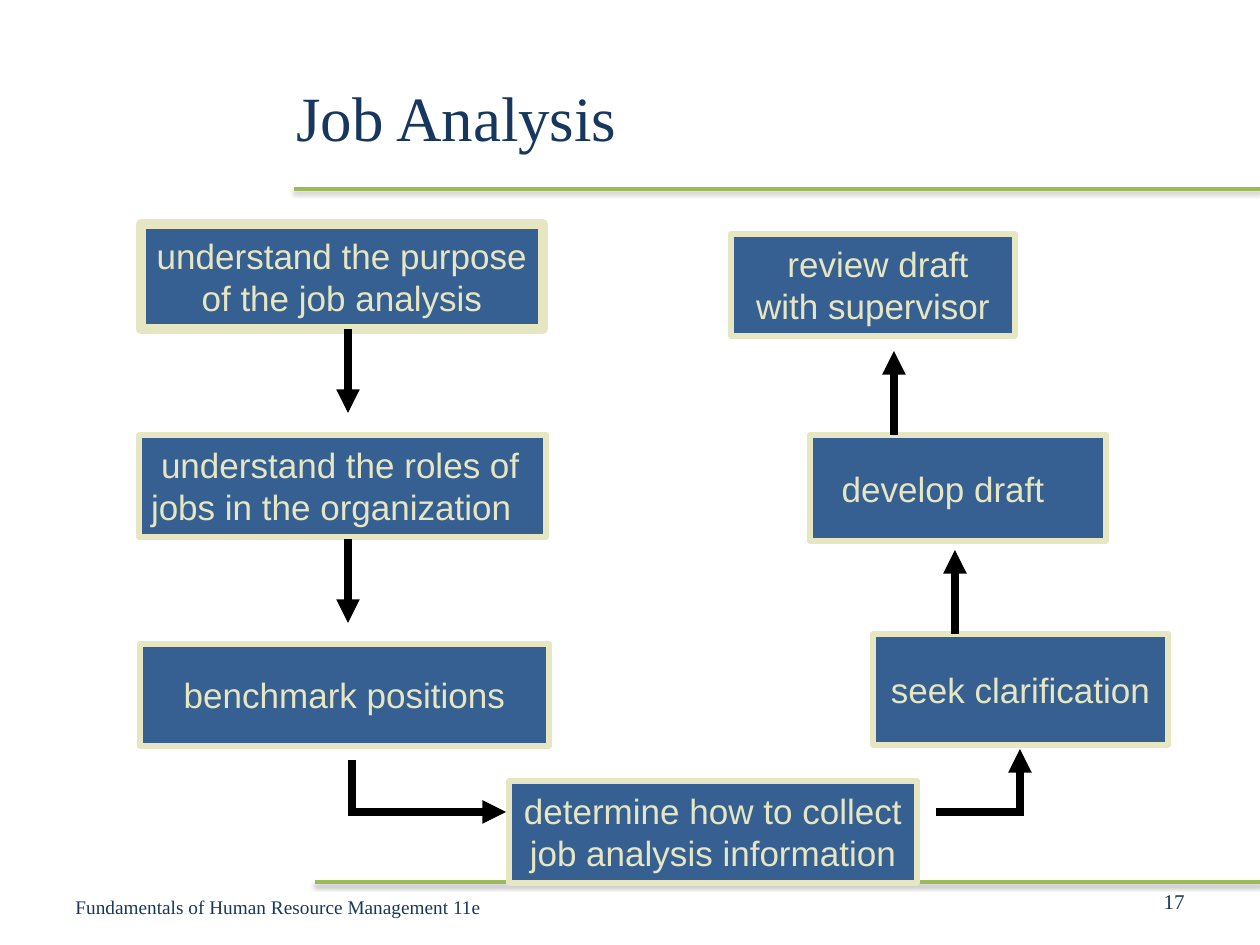
from lxml import etree
from pptx import Presentation
from pptx import util as u
from pptx.dml.color import RGBColor
from pptx.enum import shapes, text
from pptx.oxml.ns import qn

PX = 914400 / 126  # EMU in one px
HUES = {"navy": "17375E", "blue": "376092", "cream": "E6E6C2",
        "green": "9BBB59", "black": "000000"}
LEFT, MID, RIGHT = text.PP_ALIGN.LEFT, text.PP_ALIGN.CENTER, text.PP_ALIGN.RIGHT


def px(*vals):
    return [round(v * PX) for v in vals]


def hue(name):
    return RGBColor.from_string(HUES[name])


def label(slide, box, words, size, align=LEFT):
    frame = slide.shapes.add_textbox(*px(*box)).text_frame
    frame.word_wrap = True
    frame.vertical_anchor = text.MSO_ANCHOR.MIDDLE
    para = frame.paragraphs[0]
    para.text, para.alignment = words, align
    para.font.name, para.font.size = "Times New Roman", u.Pt(size)
    para.font.color.rgb = hue("navy")


def line(slide, ends, color, width):
    """Draw a straight line and return it with its empty effect list."""
    link = slide.shapes.add_connector(shapes.MSO_CONNECTOR.STRAIGHT, *px(*ends))
    link.line.color.rgb = hue(color)
    link.line.width = u.Pt(width)
    fx = etree.SubElement(link._element.spPr, qn("a:effectLst"))
    return link, fx


def rule(slide, left, top):
    """Green line with a soft shadow, running to the right edge."""
    fx = line(slide, (left, top, 1260, top), "green", 2)[1]
    cast = etree.SubElement(fx, qn("a:outerShdw"), blurRad=str(u.Pt(3.1)),
                            dist=str(u.Pt(1.6)), dir="5400000", rotWithShape="0")
    tint = etree.SubElement(cast, qn("a:srgbClr"), val=HUES["black"])
    etree.SubElement(tint, qn("a:alpha"), val="38000")


def arrow(slide, ends, width=4.5):
    link = line(slide, ends, "black", width)[0]
    etree.SubElement(link.line._get_or_add_ln(), qn("a:tailEnd"), type="triangle")


def step(slide, box, words, border=3, align=MID, pad=(0, 0), indent=0):
    """Framed step; pad is the left and right inset, indent moves line one."""
    rect = slide.shapes.add_shape(shapes.MSO_SHAPE.RECTANGLE, *px(*box))
    rect.shadow.inherit = False
    rect.fill.solid()
    rect.fill.fore_color.rgb = hue("blue")
    rect.line.color.rgb = hue("cream")
    rect.line.width = u.Pt(border)
    frame = rect.text_frame
    frame.word_wrap = True
    frame.vertical_anchor = text.MSO_ANCHOR.MIDDLE
    frame.margin_left, frame.margin_right = px(*pad)
    frame.text = words
    for para in frame.paragraphs:
        para.alignment = align
        para.font.name, para.font.size = "Arial", u.Pt(20)
        para.font.color.rgb = hue("cream")
    if indent:
        first = frame.paragraphs[0]._p.get_or_add_pPr()
        first.set("indent", str(px(indent)[0]))


def frame_page(slide):
    rule(slide, 294, 189)
    rule(slide, 315, 882)
    label(slide, (284, 38, 914, 157), "Job Analysis", 36)
    label(slide, (903, 876, 294, 50), "17", 12, RIGHT)
    label(slide, (63, 882, 473, 50),
          "Fundamentals of Human Resource Management 11e", 11)


def prepare(slide, left, top):
    """Left column, going down."""
    step(slide, (left + 2, top, 402, 105),
         "understand the purpose\nof the job analysis", border=6)
    step(slide, (left, top + 211, 407, 102),
         "understand the roles of\njobs in the organization",
         align=LEFT, pad=(12, 0), indent=10)
    step(slide, (left + 1, top + 420, 409, 102), "benchmark positions")
    for drop in (105, 315):
        arrow(slide, (left + 209, top + drop, left + 209, top + drop + 84))


def collect(slide, left, top):
    """Bottom step with the bent arrows into and out of it."""
    mid = top + 31
    line(slide, (left - 157, top - 21, left - 157, mid), "black", 4.5)
    arrow(slide, (left - 161, mid, left - 161, mid), 0.75)
    arrow(slide, (left - 161, mid, left - 3, mid))
    step(slide, (left, top, 408, 102),
         "determine how to collect\njob analysis information")
    line(slide, (left + 427, mid, left + 515, mid), "black", 4.5)
    arrow(slide, (left + 511, mid, left + 511, mid - 63))


def draft(slide, left, top):
    """Right column, going up."""
    step(slide, (left + 142, top + 400, 295, 111), "seek clarification")
    step(slide, (left + 79, top + 201, 296, 106), "develop draft", pad=(0, 30))
    step(slide, (left, top, 284, 102), "review draft\nwith supervisor", indent=10)
    for across, start in ((224, 400), (163, 201)):
        arrow(slide, (left + across, top + start, left + across, top + start - 84))


def main():
    deck = Presentation()
    deck.slide_width, deck.slide_height = px(1260, 945)
    slide = deck.slides.add_slide(deck.slide_layouts[6])
    frame_page(slide)
    prepare(slide, 139, 224)
    collect(slide, 509, 781)
    draft(slide, 731, 234)
    deck.save("out.pptx")


if __name__ == "__main__":
    main()
